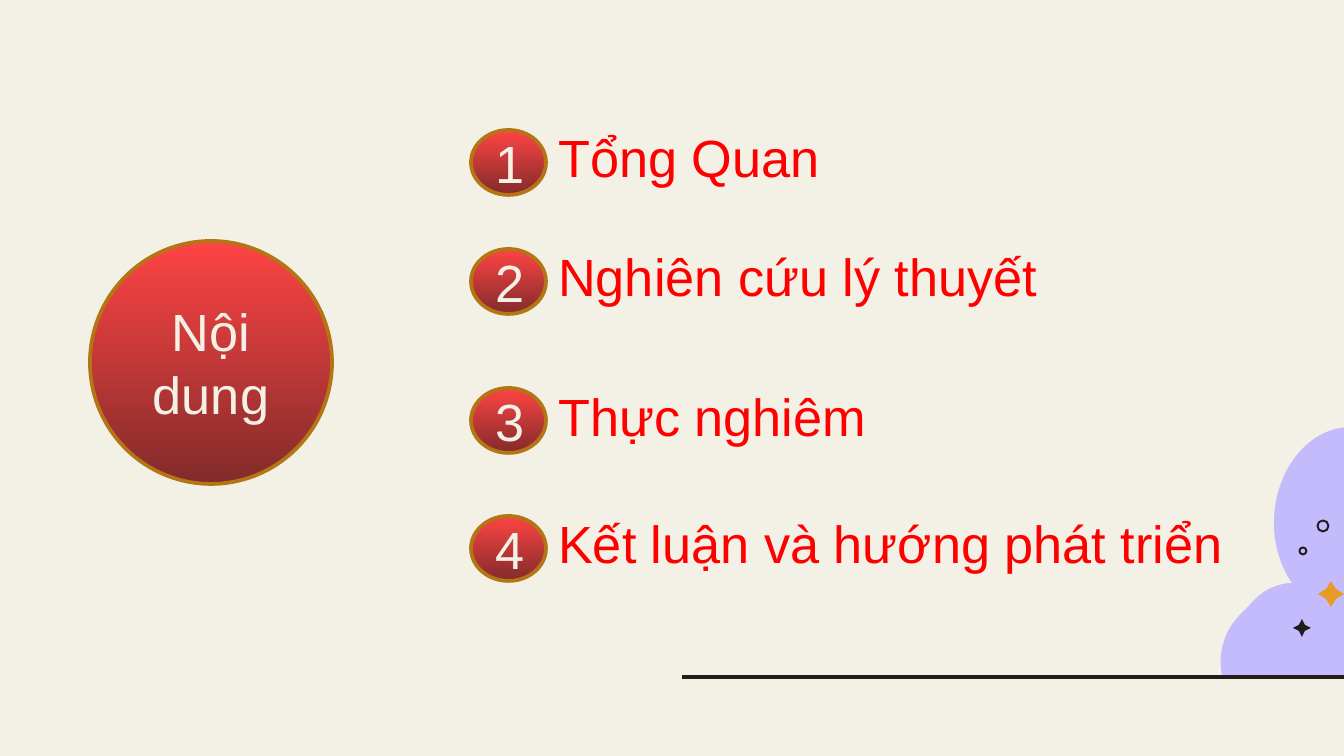
from lxml.etree import SubElement
from pptx import Presentation
from pptx.dml.color import RGBColor
from pptx.enum.shapes import MSO_CONNECTOR as Connector, MSO_SHAPE as Shape
from pptx.enum.text import MSO_ANCHOR as Anchor, MSO_AUTO_SIZE as AutoSize, PP_ALIGN as Align
from pptx.oxml.ns import qn
from pptx.util import Emu, Pt

PX_PER_INCH = 134.4
COLORS = {
    "paper": "F3F1E5", "lilac": "C4BBFC", "ink": "211D1D", "gold": "E79A24",
    "light_red": "FE4444", "dark_red": "832B2B", "rim": "B47514", "red": "FF0000",
}

# Heading, top of its number, top and width of its text
TOPICS = [
    ("Tổng Quan", 130, 119, 540),
    ("Nghiên cứu lý thuyết", 249, 238, 540),
    ("Thực nghiêm", 388, 378, 444),
    ("Kết luận và hướng phát triển", 516, 505, 745),
]

# A segment is a line to one point, or a curve with two control points and an end
CLOUD_START = (1224, 641)
CLOUD = [
    [(1228, 628), (1236, 618), (1246, 609)],
    [(1253, 601), (1259, 594), (1269, 589)],
    [(1275, 586), (1284, 583), (1292, 583)],
    [(1281, 567), (1274, 546), (1274, 523)],
    [(1274, 470), (1309, 427), (1351, 427)],
    [(1366, 427), (1380, 434), (1392, 444)],
    [(1392, 444), (1392, 444), (1394, 442)],
    [(1403, 435), (1410, 426), (1419, 417)],
    [(1427, 407), (1438, 396), (1450, 391)],
    [(1462, 384), (1476, 382), (1489, 384)],
    [(1513, 391), (1527, 418), (1527, 442)],
    [(1527, 466), (1515, 489), (1501, 511)],
    [(1493, 523), (1485, 536), (1482, 551)],
    [(1481, 570), (1490, 587), (1493, 606)],
    [(1497, 632), (1488, 660), (1469, 677)],
    [(1222, 677)],
    [(1220, 664), (1220, 653), CLOUD_START],
]


def px(length):
    return Emu(round(length * 914400 / PX_PER_INCH))


def color(name):
    return RGBColor.from_string(COLORS[name])


def add_outline(page, start, segments):
    """Build a closed freeform, joining each three-point segment into a curve."""
    builder = page.shapes.build_freeform(px(start[0]), px(start[1]))
    builder.add_line_segments(
        [(px(x), px(y)) for segment in segments for x, y in segment], close=True)
    shape = builder.convert_to_shape()
    shape.shadow.inherit = False
    lines = iter(list(shape._element.iter(qn("a:lnTo"))))
    for segment in segments:
        first, *others = [next(lines) for _ in segment]
        if others:
            curve = first.getparent().makeelement(qn("a:cubicBezTo"))
            first.addprevious(curve)
            for line in (first, *others):
                curve.append(line[0])
                line.getparent().remove(line)
    return shape


def paint(shape, fill):
    shape.fill.solid()
    shape.fill.fore_color.rgb = color(fill)
    shape.line.fill.background()


def set_line(shape, name, weight):
    shape.line.color.rgb = color(name)
    shape.line.width = Pt(weight)


def add_sparkle(page, x, y, reach, waist, fill):
    """Draw a four-pointed star around its centre."""
    offsets = [(-waist, -waist), (-reach, 0), (-waist, waist), (0, reach),
               (waist, waist), (reach, 0), (waist, -waist)]
    segments = [[(x + dx, y + dy)] for dx, dy in offsets]
    paint(add_outline(page, (x, y - reach), segments), fill)


def add_bubble(page, x, y, radius):
    """Draw a ring of four curves around its centre."""
    handle = 0.55 * radius
    segments = []
    dx, dy = 0, -1
    for _ in range(4):
        next_dx, next_dy = dy, -dx
        segments.append([
            (x + dx * radius + next_dx * handle, y + dy * radius + next_dy * handle),
            (x + next_dx * radius + dx * handle, y + next_dy * radius + dy * handle),
            (x + next_dx * radius, y + next_dy * radius),
        ])
        dx, dy = next_dx, next_dy
    bubble = add_outline(page, (x, y - radius), segments)
    bubble.fill.background()
    set_line(bubble, "ink", 1.06)


def add_ground(page):
    ground = page.shapes.add_connector(
        Connector.STRAIGHT, px(682), px(677), px(1354), px(677))
    set_line(ground, "ink", 2.25)
    SubElement(ground._element.spPr, qn("a:effectLst"))


def write(frame, text, ink, align=Align.LEFT):
    frame.word_wrap = True
    frame.text = text
    para = frame.paragraphs[0]
    para.alignment = align
    font = para.runs[0].font
    font.name = "Arial"
    font.size = Pt(28)
    font.color.rgb = color(ink)


def add_badge(page, text, left, top, width, height):
    badge = page.shapes.add_shape(Shape.OVAL, px(left), px(top), px(width), px(height))
    badge.shadow.inherit = False
    set_line(badge, "rim", 2)
    badge.fill.gradient()
    badge.fill.gradient_angle = 270
    for stop, name in zip(badge.fill.gradient_stops, ("light_red", "dark_red")):
        stop.color.rgb = color(name)
    badge.text_frame.vertical_anchor = Anchor.MIDDLE
    write(badge.text_frame, text, "paper", Align.CENTER)


def add_heading(page, text, top, width):
    box = page.shapes.add_textbox(px(545), px(top), px(width), px(77))
    write(box.text_frame, text, "red")
    box.text_frame.auto_size = AutoSize.SHAPE_TO_FIT_TEXT


def main():
    deck = Presentation()
    deck.slide_width, deck.slide_height = px(1344), px(756)
    page = deck.slides.add_slide(deck.slide_layouts[6])
    page.background.fill.solid()
    page.background.fill.fore_color.rgb = color("paper")

    paint(add_outline(page, CLOUD_START, CLOUD), "lilac")
    add_ground(page)
    add_sparkle(page, 1302, 628, 9, 3, "ink")
    add_sparkle(page, 1331, 594, 13, 5, "gold")
    add_bubble(page, 1323, 526, 5.5)
    add_bubble(page, 1303, 551, 3.5)

    add_badge(page, "Nội dung", 90, 241, 242, 243)
    for title, _, text_top, width in TOPICS:
        add_heading(page, title, text_top, width)
    for number, (_, badge_top, _, _) in enumerate(TOPICS, 1):
        add_badge(page, str(number), 471, badge_top, 75, 65)

    deck.save("out.pptx")


if __name__ == "__main__":
    main()
